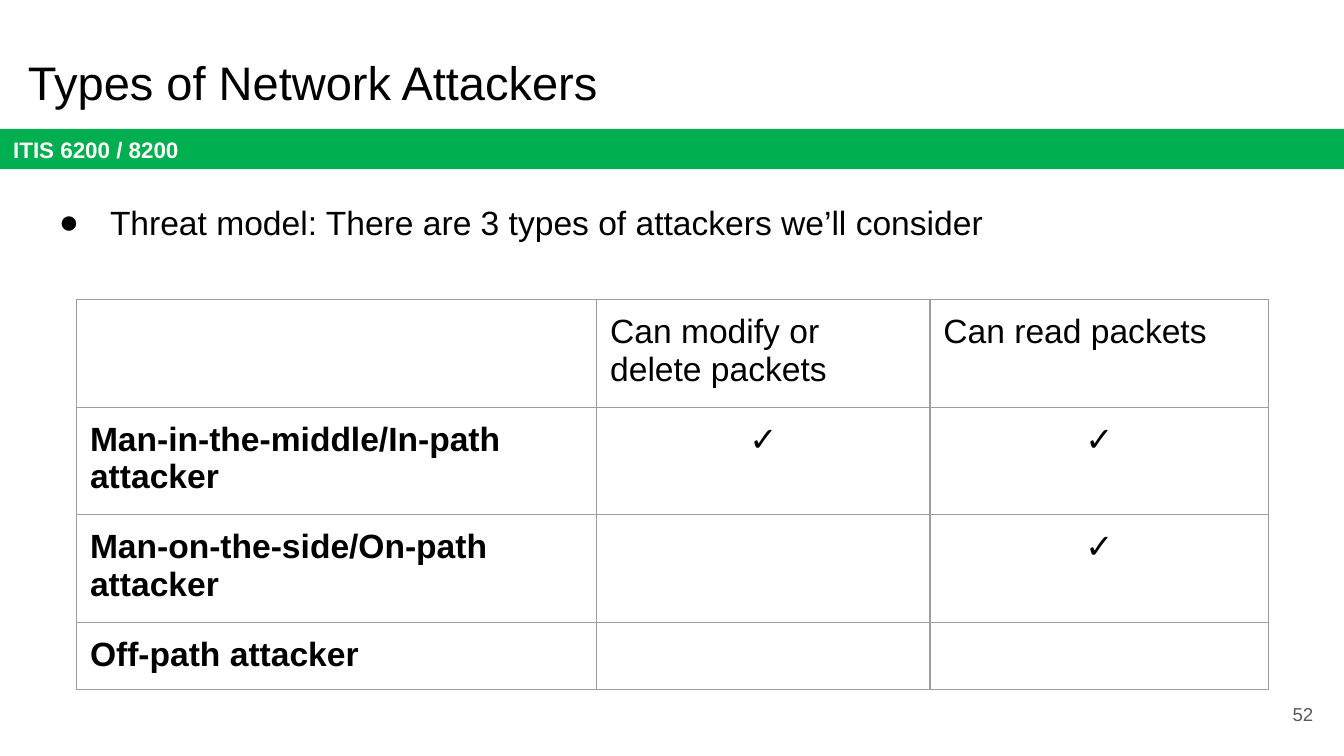
from dataclasses import dataclass

from lxml.etree import SubElement
from pptx import Presentation
from pptx.dml.color import RGBColor
from pptx.enum.shapes import MSO_SHAPE as Shape
from pptx.enum.text import MSO_ANCHOR as Anchor, PP_ALIGN as Align
from pptx.oxml.ns import qn
from pptx.util import Inches, Pt


@dataclass(frozen=True)
class Theme:
    font: str = "Arial"
    ink: str = "000000"
    white: str = "FFFFFF"
    green: str = "00B050"
    gray: str = "595959"
    border: str = "9E9E9E"
    title: float = 25.2
    body: float = 18
    banner: float = 12
    number: float = 10
    border_width: float = 0.75


THEME = Theme()
WIDTH = 10
HEIGHT = WIDTH * 9 / 16
INSET = Inches(0.1)

COLUMN_WIDTHS = [3.87, 2.48, 2.52]
ROW_HEIGHT = 0.42  # rows grow to fit their text
TABLE_HEIGHT = 2.9
CHECK = "✓"
ATTACKERS = [
    ["", "Can modify or delete packets", "Can read packets"],
    ["Man-in-the-middle/In-path attacker", CHECK, CHECK],
    ["Man-on-the-side/On-path attacker", "", CHECK],
    ["Off-path attacker", "", ""],
]


def write(frame, text, size=THEME.body, color=THEME.ink, bold=False,
          align=Align.LEFT, anchor=Anchor.TOP, bullet=None, spacing=1.0):
    """Fill a text frame with one formatted paragraph."""
    frame.word_wrap = True
    frame.vertical_anchor = anchor
    paragraph = frame.paragraphs[0]
    paragraph.alignment = align
    paragraph.line_spacing = spacing
    if bullet:
        add_bullet(paragraph, bullet)
    if text:
        paragraph.add_run().text = text
    for font in [paragraph.font] + [run.font for run in paragraph.runs]:
        font.name = THEME.font
        font.size = Pt(size)
        font.bold = bold
        font.color.rgb = RGBColor.from_string(color)


def add_bullet(paragraph, character, indent=0.5, hanging=0.38):
    properties = paragraph._p.get_or_add_pPr()
    properties.set("marL", str(Inches(indent)))
    properties.set("indent", str(-Inches(hanging)))
    color = SubElement(properties, qn("a:buClr"))
    SubElement(color, qn("a:srgbClr"), val=THEME.ink)
    SubElement(properties, qn("a:buFont"), typeface=THEME.font)
    SubElement(properties, qn("a:buChar"), char=character)


def set_margins(holder):
    holder.margin_left = holder.margin_right = INSET
    holder.margin_top = holder.margin_bottom = INSET


def add_text(slide, box, text, **style):
    shape = slide.shapes.add_textbox(*map(Inches, box))
    set_margins(shape.text_frame)
    write(shape.text_frame, text, **style)


def add_banner(slide, box, text):
    shape = slide.shapes.add_shape(Shape.RECTANGLE, *map(Inches, box))
    shape.shadow.inherit = False
    shape.fill.solid()
    shape.fill.fore_color.rgb = RGBColor.from_string(THEME.green)
    shape.line.fill.background()
    set_margins(shape.text_frame)
    write(shape.text_frame, text, size=THEME.banner, color=THEME.white,
          bold=True, anchor=Anchor.MIDDLE)


def outline_cell(cell):
    properties = cell._tc.get_or_add_tcPr()
    for position, side in enumerate(("lnL", "lnR", "lnT", "lnB")):
        line = SubElement(properties, qn(f"a:{side}"),
                          w=str(Pt(THEME.border_width)))
        fill = SubElement(line, qn("a:solidFill"))
        SubElement(fill, qn("a:srgbClr"), val=THEME.border)
        properties.insert(position, line)  # borders come before the fill


def add_table(slide, left, top, rows):
    shape = slide.shapes.add_table(
        len(rows), len(COLUMN_WIDTHS), Inches(left), Inches(top),
        Inches(sum(COLUMN_WIDTHS)), Inches(TABLE_HEIGHT))
    table = shape.table
    table.first_row = table.horz_banding = False
    for column, width in zip(table.columns, COLUMN_WIDTHS):
        column.width = Inches(width)
    for row in table.rows:
        row.height = Inches(ROW_HEIGHT)
    shape.height = Inches(TABLE_HEIGHT)
    for row, texts in enumerate(rows):
        for column, text in enumerate(texts):
            cell = table.cell(row, column)
            cell.fill.background()
            set_margins(cell)
            write(cell.text_frame, text, bold=row > 0 and column == 0,
                  align=Align.CENTER if text == CHECK else Align.LEFT)
            outline_cell(cell)


def main():
    presentation = Presentation()
    presentation.slide_width = Inches(WIDTH)
    presentation.slide_height = Inches(HEIGHT)
    slide = presentation.slides.add_slide(presentation.slide_layouts[6])

    # Heading and course banner
    add_banner(slide, (0, 0.96, WIDTH, 0.3), "ITIS 6200 / 8200")
    add_text(slide, (0.11, 0.3, 9.32, 0.63), "Types of Network Attackers",
             size=THEME.title)

    # Page number
    add_text(slide, (9.27, 5.1, 0.6, 0.43), "52", size=THEME.number,
             color=THEME.gray, align=Align.RIGHT, anchor=Anchor.MIDDLE)

    # Comparison of attackers
    add_table(slide, 0.57, 2.23, ATTACKERS)

    # Introductory point
    add_text(slide, (0.22, 1.36, 9.32, 1.83),
             "Threat model: There are 3 types of attackers we’ll consider",
             bullet="●", spacing=1.15)

    presentation.save("out.pptx")


if __name__ == "__main__":
    main()
